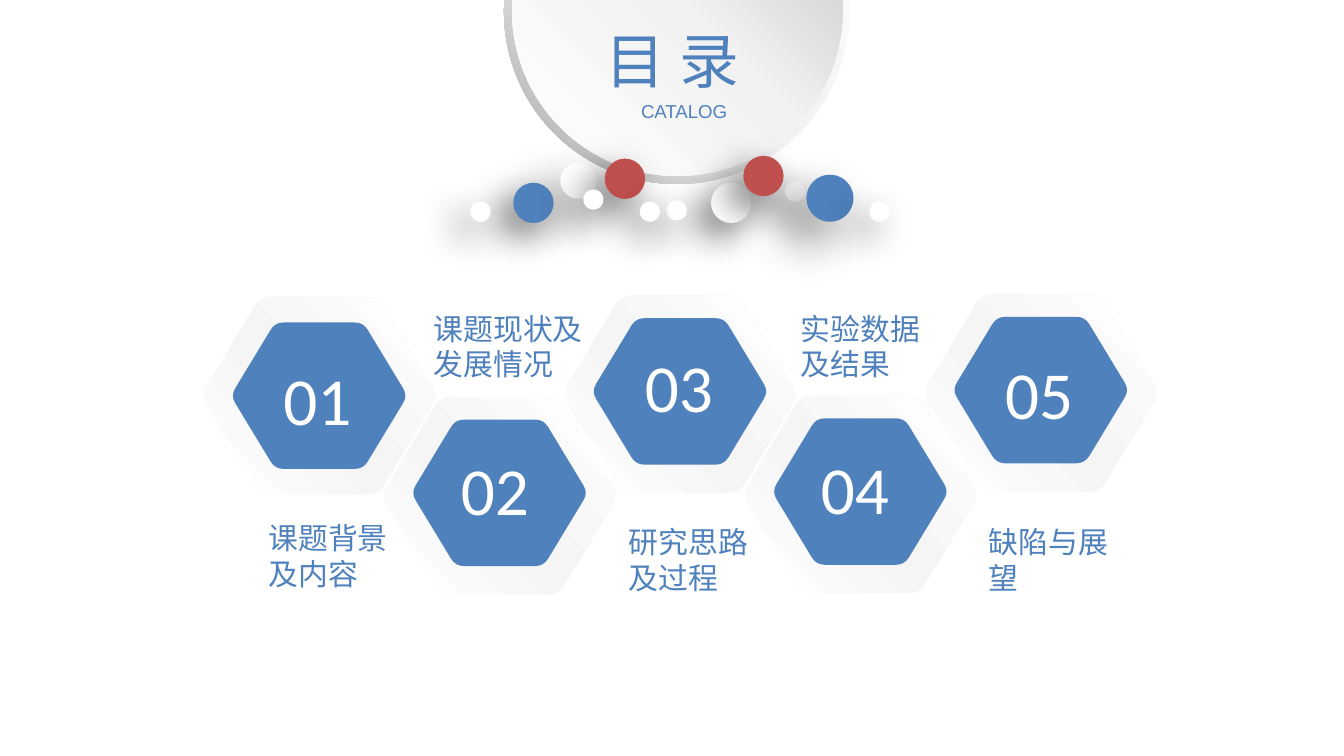
from lxml import etree
from pptx import Presentation
from pptx.dml.color import RGBColor
from pptx.enum import shapes, text
from pptx.oxml import ns
from pptx.util import Pt

BLUE = RGBColor(0x4F, 0x81, 0xBD)
RED = RGBColor(0xC0, 0x50, 0x4D)
WHITE = RGBColor(0xFF, 0xFF, 0xFF)
PALE = RGBColor(0xF5, 0xF5, 0xF5)
MIST = RGBColor(0xF2, 0xF2, 0xF2)
SILVER = RGBColor(0xBF, 0xBF, 0xBF)
GREY = RGBColor(0xA6, 0xA6, 0xA6)
BLACK = RGBColor(0, 0, 0)

SOFT_SHADOW = (60, 20, 10)
DEEP_SHADOW = (50, 25, 15)
HEXAGON_GRADIENT = ([(0, WHITE), (47, PALE), (100, WHITE)], 315)

BALLS = [
    (380.9, 97.9, 21.6, WHITE, SOFT_SHADOW),
    (357.1, 107.3, 10.8, WHITE, SOFT_SHADOW),
    (420.5, 97.2, 10.8, WHITE, SOFT_SHADOW),
    (300.2, 87.1, 19.4, WHITE, DEEP_SHADOW),
    (324, 85, 21.6, RED, SOFT_SHADOW),
    (342.7, 108, 10.8, WHITE, SOFT_SHADOW),
    (432, 93.6, 25.2, BLUE, DEEP_SHADOW),
    (275, 97.9, 21.6, BLUE, SOFT_SHADOW),
    (252, 108, 10.8, WHITE, SOFT_SHADOW),
    (398.2, 83.5, 21.6, RED, SOFT_SHADOW),
    (312.5, 101.5, 10.8, WHITE, SOFT_SHADOW),
    (465.8, 108, 10.8, WHITE, SOFT_SHADOW),
]

CHAPTERS = [
    ("课题背景及内容", (136.8, 275, 80.6, 46), (144.7, 188.6, 63, 51), 0),
    ("课题现状及发展情况", (225.4, 162.7, 95.8, 46), (239.8, 236.9, 62, 51), -1.6),
    ("研究思路及过程", (329.8, 277.2, 80.6, 46), (338.4, 181.4, 61, 51), -1.6),
    ("实验数据及结果", (422, 162.7, 80.6, 46), (432.7, 236.2, 70, 51), -1.6),
    ("缺陷与展望", (522.7, 277.2, 80.6, 46), (531.4, 185, 66, 51), -1.6),
]


class CatalogSlide:
    """Draws the styled elements of the catalog slide."""

    def __init__(self, slide):
        self.slide = slide

    def paint(self, shape, fill, shadow=None):
        shape.line.fill.background()
        shape.shadow.inherit = False
        if isinstance(fill, RGBColor):
            shape.fill.solid()
            shape.fill.fore_color.rgb = fill
        else:
            self.gradient(shape, *fill)
        if shadow:
            self.shadow(shape, *shadow)

    def gradient(self, shape, stops, angle):
        shape.fill.gradient()
        gradient = shape._element.spPr.find(ns.qn("a:gradFill"))
        stop_list = gradient.find(ns.qn("a:gsLst"))
        for stop in list(stop_list):
            stop_list.remove(stop)
        for position, color in stops:
            stop = etree.SubElement(stop_list, ns.qn("a:gs"), pos=str(position * 1000))
            etree.SubElement(stop, ns.qn("a:srgbClr"), val=str(color))
        gradient.find(ns.qn("a:lin")).set("ang", str(angle * 60000))

    def shadow(self, shape, opacity, blur, distance):
        effects = shape._element.spPr.find(ns.qn("a:effectLst"))
        outer = etree.SubElement(
            effects, ns.qn("a:outerShdw"), blurRad=str(int(Pt(blur))),
            dist=str(int(Pt(distance))), dir=str(135 * 60000), algn="tr", rotWithShape="0")
        color = etree.SubElement(outer, ns.qn("a:srgbClr"), val=str(BLACK))
        etree.SubElement(color, ns.qn("a:alpha"), val=str(opacity * 1000))

    def circle(self, left, top, diameter, fill, shadow=None, kind=shapes.MSO_SHAPE.OVAL):
        shape = self.slide.shapes.add_shape(
            kind, Pt(left), Pt(top), Pt(diameter), Pt(diameter))
        self.paint(shape, fill, shadow)
        return shape

    def hexagon(self, center_x, center_y, width, height, fill):
        corners = [(center_x + x * width, center_y + y * height) for x, y in (
            (0.506, 0), (0.252, 0.5), (-0.252, 0.5),
            (-0.506, 0), (-0.252, -0.5), (0.252, -0.5))]
        share = 0.1
        points = []
        for index, (x, y) in enumerate(corners):
            (start_x, start_y), (end_x, end_y) = [
                (x + (other_x - x) * share, y + (other_y - y) * share)
                for other_x, other_y in (corners[index - 1], corners[(index + 1) % 6])]
            for t in (0, 0.25, 0.5, 0.75, 1):
                a, b, c = (1 - t) ** 2, 2 * t * (1 - t), t ** 2
                points.append((Pt(a * start_x + b * x + c * end_x),
                               Pt(a * start_y + b * y + c * end_y)))
        builder = self.slide.shapes.build_freeform(*points[0])
        builder.add_line_segments(points[1:], close=True)
        self.paint(builder.convert_to_shape(), fill)

    def label(self, words, box, size, font, color, grow=True):
        shape = self.slide.shapes.add_textbox(*map(Pt, box))
        frame = shape.text_frame
        frame.word_wrap = True
        if grow:
            frame.auto_size = text.MSO_AUTO_SIZE.SHAPE_TO_FIT_TEXT
        paragraph = frame.paragraphs[0]
        paragraph.text = words
        paragraph.font.size = Pt(size)
        paragraph.font.name = font
        paragraph.font.color.rgb = color
        return shape


def main():
    presentation = Presentation()
    presentation.slide_width, presentation.slide_height = Pt(720), Pt(405)
    catalog = CatalogSlide(presentation.slides.add_slide(presentation.slide_layouts[6]))

    ring = catalog.circle(270, -86.4, 185, ([(0, WHITE), (55, MIST), (100, GREY)], 135),
                          kind=shapes.MSO_SHAPE.DONUT)
    ring.adjustments[0] = 0.05
    catalog.circle(274.3, -82.8, 177.1, ([(0, WHITE), (51, MIST), (100, SILVER)], 315))
    for ball in BALLS:
        catalog.circle(*ball)

    catalog.label("目 录", (317.5, 9.4, 97.2, 46), 32, "Noto Sans CJK SC", BLUE)
    subtitle = catalog.label("CATALOG", (312.5, 44.6, 108, 30.2), 10, "Arial", BLUE, False)
    subtitle.text_frame.vertical_anchor = text.MSO_ANCHOR.MIDDLE
    subtitle.text_frame.paragraphs[0].alignment = text.PP_ALIGN.CENTER

    for index in (4, 2, 0, 1, 3):
        _, _, number_box, offset = CHAPTERS[index]
        center_x = 171 + 96.65 * index
        center_y = (212, 266)[index % 2] - 0.35 * index
        catalog.hexagon(center_x, center_y, 126, 107, WHITE)
        catalog.hexagon(center_x, center_y, 125.3, 105.8, HEXAGON_GRADIENT)
        catalog.hexagon(center_x, center_y + offset, 93.6, 78.5, BLUE)
        catalog.label(f"{index + 1:02}", number_box, 36, "Calibri", WHITE)
    for words, label_box, _, _ in CHAPTERS:
        catalog.label(words, label_box, 16, "Arial", BLUE)

    presentation.save("out.pptx")


if __name__ == "__main__":
    main()
